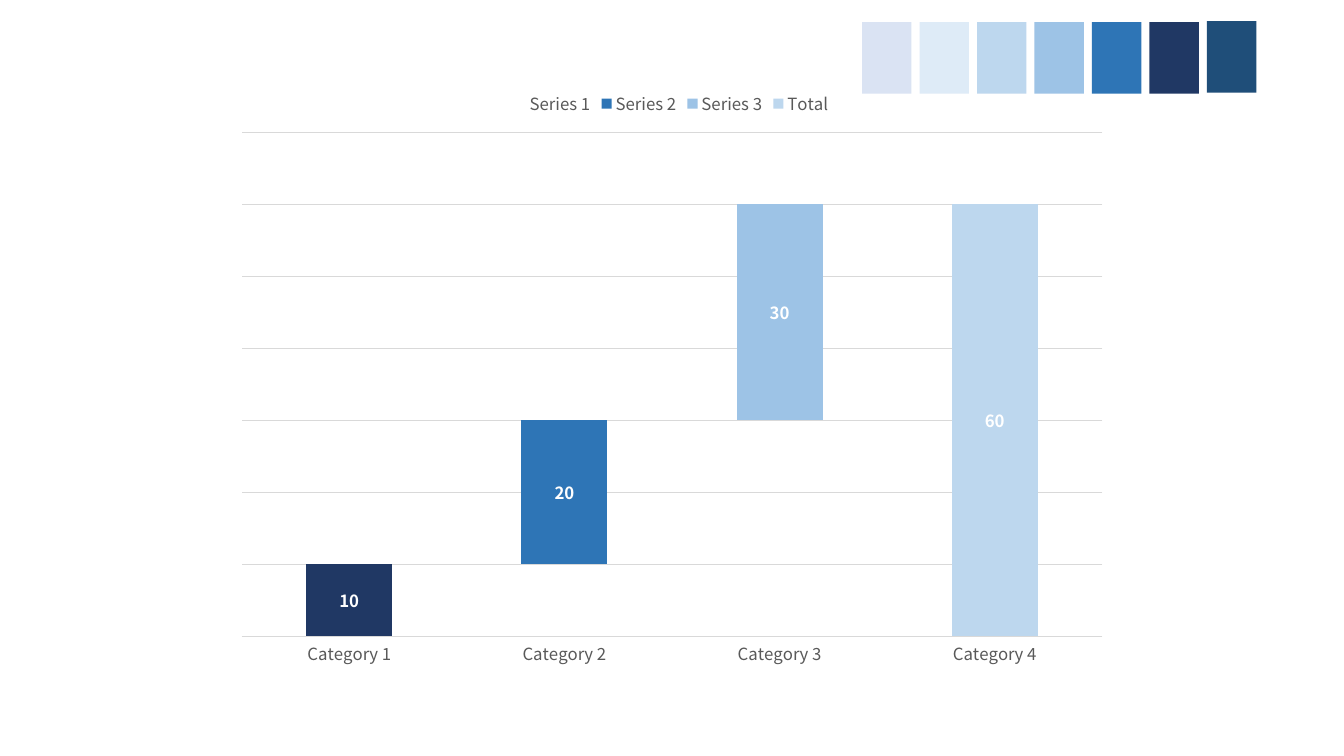
from pptx import Presentation
from pptx import util as u
from pptx.chart.data import CategoryChartData
from pptx.dml.color import RGBColor
from pptx.enum import chart as ch, shapes as sh

FONT = "Noto Sans CJK KR"
COLORS = {
    "lilac": "DAE3F3", "ice": "DEEBF7", "pale": "BDD7EE", "sky": "9DC3E6",
    "blue": "2E75B6", "navy": "203864", "teal": "1F4E79",
    "text": "595959", "grid": "D9D9D9", "white": "FFFFFF",
}
SWATCHES = ["lilac", "ice", "pale", "sky", "blue", "navy", "teal"]
CATS = ["Category 1", "Category 2", "Category 3", "Category 4"]
# name, values, series fill, fills of single points, labelled point
SERIES = [
    ("Series 1", (10, 10, 10, None), None, {0: "navy"}, 0),
    ("Series 2", (None, 20, 20, None), "blue", {2: None}, 1),
    ("Series 3", (None, None, 30, None), "sky", {}, 2),
    ("Total", (None, None, None, 60), "pale", {}, 3),
]


def rgb(name):
    return RGBColor.from_string(COLORS[name])


def paint(fill, name):
    """Fill with a named colour, or leave clear for None."""
    if name is None:
        fill.background()
    else:
        fill.solid()
        fill.fore_color.rgb = rgb(name)


def style(font, color, bold=False):
    font.name, font.size, font.bold = FONT, u.Pt(12), bold
    font.color.rgb = rgb(color)


def rule(line):
    line.color.rgb = rgb("grid")
    line.width = u.Pt(0.75)


def add_swatches(slide):
    group = slide.shapes.add_group_shape()
    for i, name in enumerate(SWATCHES):
        top = 0.32 if name == "teal" else 0.33
        box = group.shapes.add_shape(
            sh.MSO_SHAPE.RECTANGLE, u.Inches(8.44 + 0.57 * i), u.Inches(top),
            u.Inches(0.71), u.Inches(0.49))
        box.rotation = 90
        box.shadow.inherit = False
        paint(box.fill, name)
        box.line.fill.background()


def add_bridge(slide):
    """Stacked columns whose clear parts lift the visible steps."""
    data = CategoryChartData()
    data.categories = CATS
    for name, vals, *_ in SERIES:
        data.add_series(name, vals)
    chart = slide.shapes.add_chart(
        ch.XL_CHART_TYPE.COLUMN_STACKED, u.Inches(2.22), u.Inches(0.79),
        u.Inches(8.89), u.Inches(5.93), data).chart
    chart.has_title = False
    style(chart.font, "text")

    chart.has_legend = True
    chart.legend.position = ch.XL_LEGEND_POSITION.TOP
    chart.legend.include_in_layout = False
    style(chart.legend.font, "text")

    cat, val = chart.category_axis, chart.value_axis
    for axis in (cat, val):
        axis.major_tick_mark = axis.minor_tick_mark = ch.XL_TICK_MARK.NONE
        style(axis.tick_labels.font, "text")
    rule(cat.format.line)
    val.minimum_scale, val.maximum_scale, val.major_unit = 0, 70, 10
    val.tick_label_position = ch.XL_TICK_LABEL_POSITION.NONE
    val.format.line.fill.background()
    val.has_major_gridlines = True
    rule(val.major_gridlines.format.line)

    plot = chart.plots[0]
    plot.gap_width, plot.overlap = 150, 100
    plot.vary_by_categories = False
    for series, (_, _, color, points, shown) in zip(plot.series, SERIES):
        paint(series.format.fill, color)
        series.format.line.fill.background()
        for i, name in points.items():
            paint(series.points[i].format.fill, name)
        series.data_labels.show_value = False
        label = series.points[shown].data_label
        style(label.font, "white", True)
        label.position = ch.XL_LABEL_POSITION.CENTER


def main():
    prs = Presentation()
    prs.slide_width, prs.slide_height = u.Inches(13.33), u.Inches(7.5)
    slide = prs.slides.add_slide(prs.slide_layouts[6])
    add_swatches(slide)
    add_bridge(slide)
    prs.save("out.pptx")


if __name__ == "__main__":
    main()
